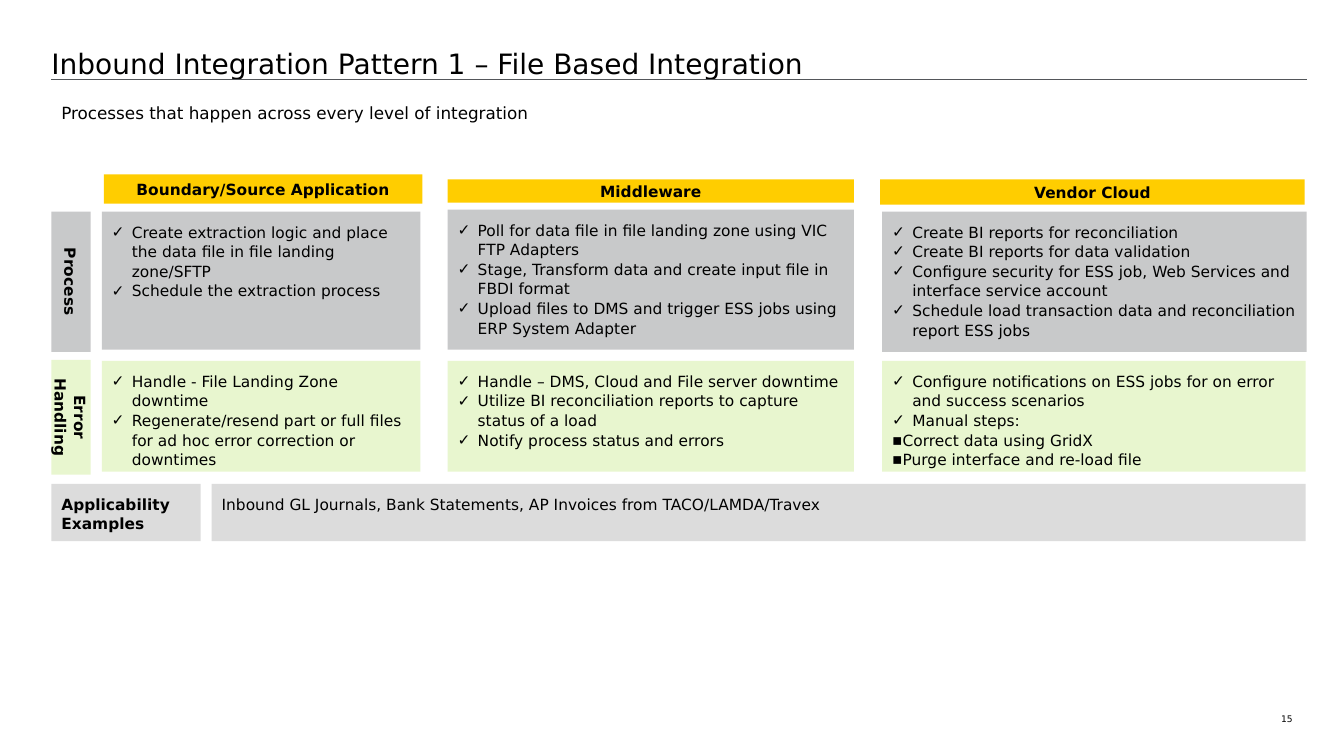
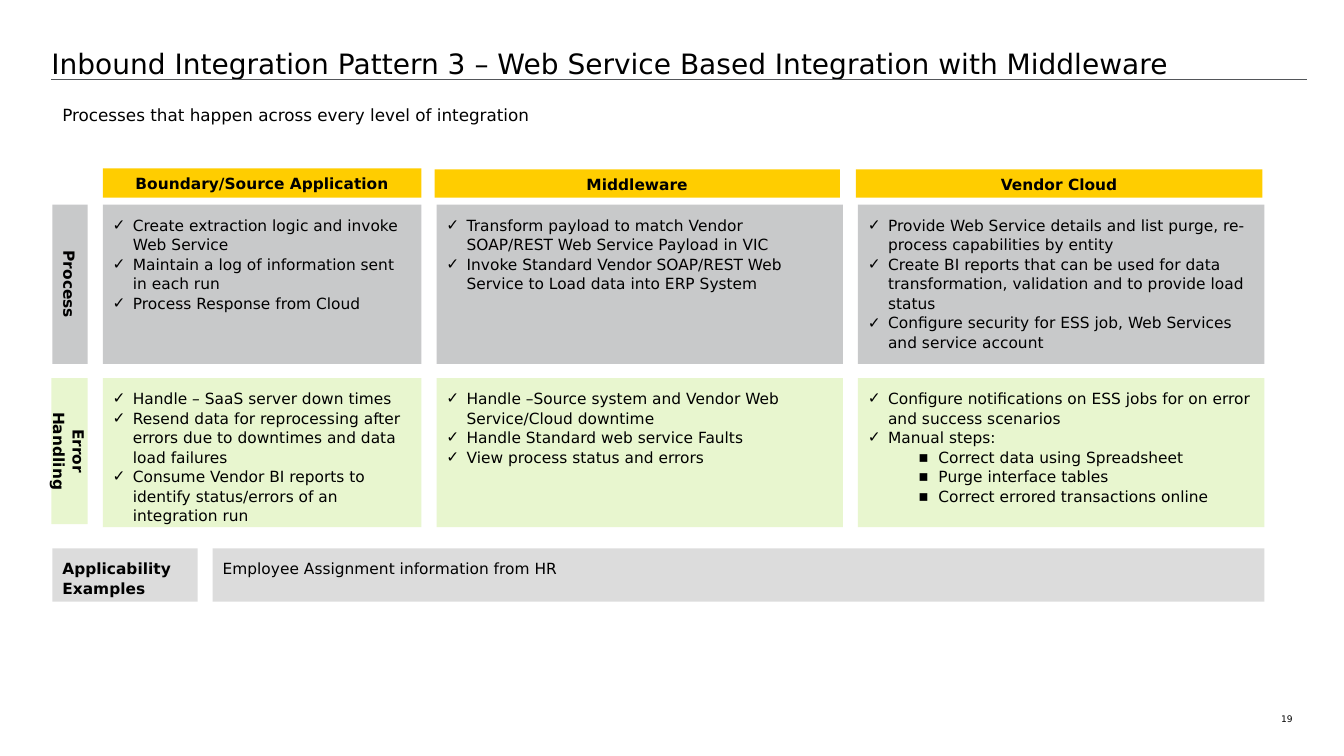
from dataclasses import dataclass

from lxml.etree import SubElement
from pptx import Presentation
from pptx.dml.color import RGBColor
from pptx.enum.shapes import MSO_CONNECTOR as Connector, MSO_SHAPE as Preset
from pptx.enum.text import MSO_ANCHOR as Anchor, PP_ALIGN as Align
from pptx.oxml.ns import qn
from pptx.util import Pt

PX = 9144  # EMU in one px, 100 px to the inch


@dataclass(frozen=True)
class Theme:
    font: str = "DejaVu Sans"
    ink: str = "000000"
    rule: str = "53565A"
    header: str = "FFCD00"
    process: str = "C8C9CA"
    error: str = "E8F6CF"
    example: str = "DCDCDC"
    title_size: float = 20
    subtitle_size: float = 12
    body_size: float = 11
    number_size: float = 6.5
    rule_width: float = 0.75
    body_spacing: float = 1.06
    check: str = "✓"
    square: str = "▪"
    hanging: int = 20


THEME = Theme()


def add_bullet(para, symbol, margin):
    props = para._p.get_or_add_pPr()
    props.set("marL", str(margin * PX))
    props.set("indent", str(-THEME.hanging * PX))
    SubElement(props, qn("a:buFont")).set("typeface", THEME.font)
    SubElement(props, qn("a:buChar")).set("char", symbol)


def put_text(page, frame, text, fill=None, size=THEME.body_size, bold=False,
             align=Align.LEFT, anchor=Anchor.TOP, inset=(10, 10), spacing=None,
             vertical=False, sub_indent=None):
    """Write a plain string, or a list as checked items with inner lists as substeps."""
    frame = [length * PX for length in frame]
    if fill:
        box = page.shapes.add_shape(Preset.RECTANGLE, *frame)
        box.shadow.inherit = False
        box.fill.solid()
        box.fill.fore_color.rgb = RGBColor.from_string(fill)
        box.line.fill.background()
        spacing = THEME.body_spacing
    else:
        box = page.shapes.add_textbox(*frame)
    body = box.text_frame
    body.word_wrap = True
    body.vertical_anchor = anchor
    body.margin_left = body.margin_right = inset[0] * PX
    body.margin_top = body.margin_bottom = inset[1] * PX
    if vertical:
        body._txBody.bodyPr.set("vert", "vert")

    lines = []
    for item in [text] if isinstance(text, str) else text:
        if isinstance(item, list):
            lines += [(step, THEME.square, sub_indent) for step in item]
        else:
            lines.append((item, THEME.check, THEME.hanging))
    for index, (line, symbol, margin) in enumerate(lines):
        para = body.add_paragraph() if index else body.paragraphs[0]
        para.alignment = align
        if spacing:
            para.line_spacing = spacing
        if not isinstance(text, str):
            para.level = int(symbol == THEME.square)
            add_bullet(para, symbol, margin)
        span = para.add_run()
        span.text = line
        span.font.name = THEME.font
        span.font.size = Pt(size)
        span.font.bold = bold
        span.font.color.rgb = RGBColor.from_string(THEME.ink)


# Frames are left, top, width, height in px.
# A column holds its heading, then a frame and a text for each of its cells.
PATTERNS = [
    {
        "number": "15",
        "title": "Inbound Integration Pattern 1 – File Based Integration",
        "subtitle": (51, 97, 1245, 30),
        "sub_indent": 3,
        "labels": [(51, 210, 39, 139), (51, 357, 39, 114)],
        "columns": [
            ("Boundary/Source Application", (103, 173, 316, 29),
             (101, 210, 316, 137),
             ["Create extraction logic and place the data file in file landing zone/SFTP",
              "Schedule the extraction process"],
             (101, 358, 316, 110),
             ["Handle - File Landing Zone downtime",
              "Regenerate/resend part or full files for ad hoc error correction or downtimes"]),
            ("Middleware", (444, 178, 403, 23),
             (444, 208, 403, 139),
             ["Poll for data file in file landing zone using VIC FTP Adapters",
              "Stage, Transform data and create input file in FBDI format",
              "Upload files to DMS and trigger ESS jobs using ERP System Adapter"],
             (444, 358, 403, 110),
             ["Handle – DMS, Cloud and File server downtime",
              "Utilize BI reconciliation reports to capture status of a load",
              "Notify process status and errors"]),
            ("Vendor Cloud", (873, 178, 421, 25),
             (875, 210, 421, 139),
             ["Create BI reports for reconciliation",
              "Create BI reports for data validation",
              "Configure security for ESS job, Web Services and interface service account",
              "Schedule load transaction data and reconciliation report ESS jobs"],
             (875, 358, 420, 110),
             ["Configure notifications on ESS jobs for on error and success scenarios",
              "Manual steps:",
              ["Correct data using GridX", "Purge interface and re-load file"]]),
        ],
        "examples": [(51, 480, 148, 57), (210, 480, 1085, 57)],
        "example": "Inbound GL Journals, Bank Statements, AP Invoices from TACO/LAMDA/Travex",
    },
    {
        "number": "19",
        "title": "Inbound Integration Pattern 3 – Web Service Based Integration with Middleware",
        "subtitle": (52, 99, 1206, 30),
        "sub_indent": 70,
        "labels": [(52, 203, 35, 158), (51, 375, 36, 145)],
        "columns": [
            ("Boundary/Source Application", (102, 167, 316, 29),
             (102, 203, 316, 158),
             ["Create extraction logic and invoke Web Service",
              "Maintain a log of information sent in each run",
              "Process Response from Cloud"],
             (102, 375, 316, 148),
             ["Handle – SaaS server down times",
              "Resend data for reprocessing after errors due to downtimes and data load failures",
              "Consume Vendor BI reports to identify status/errors of an integration run"]),
            ("Middleware", (431, 168, 402, 28),
             (433, 203, 403, 158),
             ["Transform payload to match Vendor SOAP/REST Web Service Payload in VIC",
              "Invoke Standard Vendor SOAP/REST Web Service to Load data into ERP System"],
             (433, 375, 403, 148),
             ["Handle –Source system and Vendor Web Service/Cloud downtime",
              "Handle Standard web service Faults",
              "View process status and errors"]),
            ("Vendor Cloud", (849, 168, 403, 28),
             (851, 203, 403, 158),
             ["Provide Web Service details and list purge, re-process capabilities by entity",
              "Create BI reports that can be used for data transformation, validation "
              "and to provide load status",
              "Configure security for ESS job, Web Services and service account"],
             (851, 375, 403, 148),
             ["Configure notifications on ESS jobs for on error and success scenarios",
              "Manual steps:",
              ["Correct data using Spreadsheet", "Purge interface tables",
               "Correct errored transactions online"]]),
        ],
        "examples": [(52, 544, 144, 53), (211, 544, 1043, 53)],
        "example": "Employee Assignment information from HR",
    },
]

HEADING = {"bold": True, "align": Align.CENTER, "anchor": Anchor.MIDDLE}

deck = Presentation()
deck.slide_width = 1333 * PX
deck.slide_height = 750 * PX

for pattern in PATTERNS:
    page = deck.slides.add_slide(deck.slide_layouts[6])

    put_text(page, (51, 44, 1231, 37), pattern["title"], size=THEME.title_size,
             anchor=Anchor.MIDDLE, inset=(0, 0))
    rule = page.shapes.add_connector(Connector.STRAIGHT, 51 * PX, 79 * PX, 1296 * PX, 79 * PX)
    rule.line.color.rgb = RGBColor.from_string(THEME.rule)
    rule.line.width = Pt(THEME.rule_width)
    SubElement(rule._element.spPr, qn("a:effectLst"))
    put_text(page, pattern["subtitle"],
             "Processes that happen across every level of integration",
             size=THEME.subtitle_size, inset=(10, 5))

    for heading, top_frame, process_frame, process, error_frame, error in pattern["columns"]:
        put_text(page, top_frame, heading, fill=THEME.header, **HEADING)
        put_text(page, process_frame, process, fill=THEME.process)
        put_text(page, error_frame, error, fill=THEME.error, sub_indent=pattern["sub_indent"])

    rows = [("Process", THEME.process), ("Error Handling", THEME.error)]
    for frame, (label, colour) in zip(pattern["labels"], rows):
        put_text(page, frame, label, fill=colour, vertical=True, **HEADING)

    label_frame, example_frame = pattern["examples"]
    put_text(page, label_frame, "Applicability Examples", fill=THEME.example, bold=True)
    put_text(page, example_frame, pattern["example"], fill=THEME.example)

    put_text(page, (1248, 708, 34, 11), pattern["number"], size=THEME.number_size,
             align=Align.RIGHT, inset=(0, 0))

deck.save("out.pptx")
